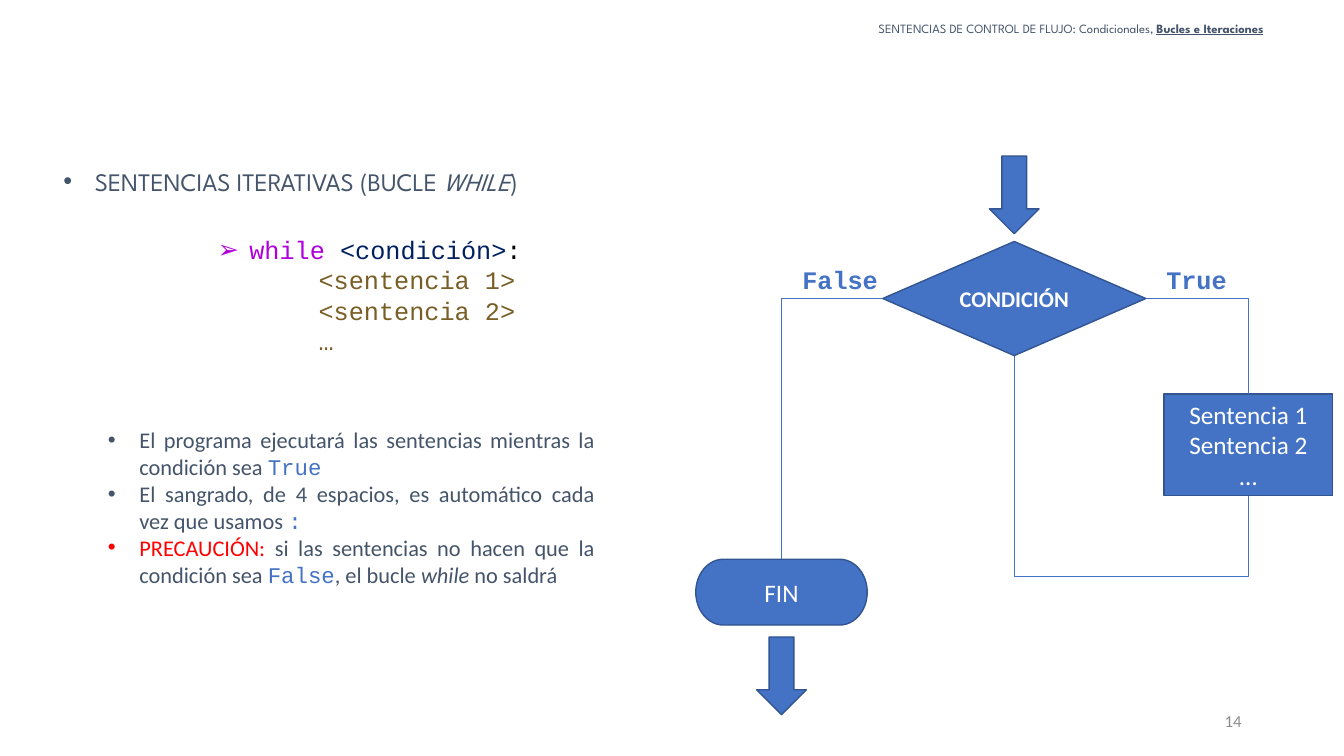
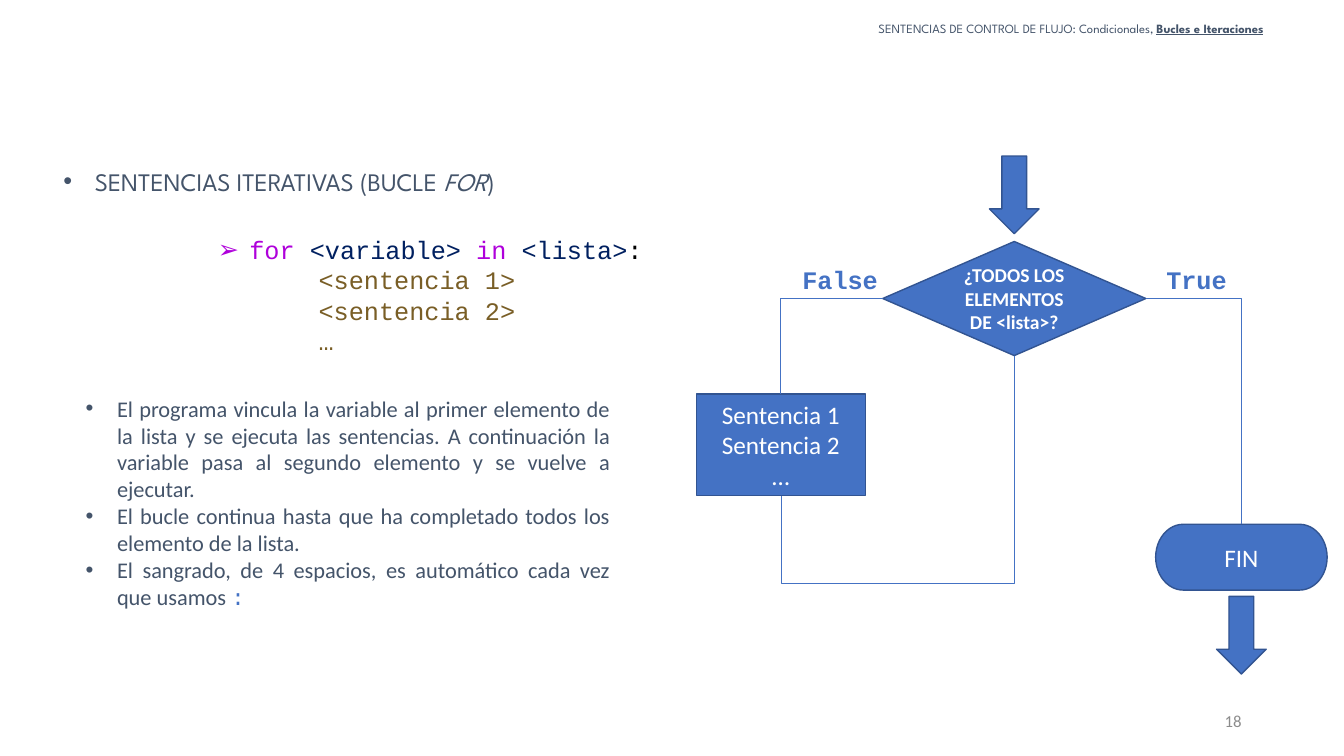
from dataclasses import dataclass

from lxml.etree import SubElement
from pptx import Presentation
from pptx.dml.color import RGBColor
from pptx.enum.shapes import MSO_CONNECTOR, MSO_SHAPE
from pptx.enum.text import MSO_ANCHOR, MSO_AUTO_SIZE, PP_ALIGN
from pptx.oxml.ns import qn
from pptx.util import Pt


@dataclass(frozen=True)
class Style:
    font: str
    size: int
    color: str
    bold: bool = False
    italic: bool = False
    underline: bool = False


@dataclass(frozen=True)
class Theme:
    ink: str = "44546A"
    accent: str = "4472C4"
    outline: str = "325491"
    keyword: str = "AF00DB"
    name: str = "002060"
    body: str = "795E26"
    warning: str = "FF0000"
    white: str = "FFFFFF"
    black: str = "000000"
    grey: str = "8C8C8C"
    sans: str = "Calibri"
    display: str = "League Spartan"
    mono: str = "Courier New"
    big: int = 18
    medium: int = 16
    compact: int = 14
    small: int = 12
    tiny: int = 9


T = Theme()
STYLES = {
    "header": Style(T.display, T.tiny, T.ink),
    "header_now": Style(T.display, T.tiny, T.ink, bold=True, underline=True),
    "title": Style(T.display, T.big, T.ink),
    "title_word": Style(T.display, T.big, T.ink, italic=True),
    "keyword": Style(T.mono, T.big, T.keyword),
    "name": Style(T.mono, T.big, T.name),
    "colon": Style(T.mono, T.big, T.black),
    "body": Style(T.mono, T.big, T.body),
    "note": Style(T.sans, T.medium, T.ink),
    "note_word": Style(T.sans, T.medium, T.ink, italic=True),
    "note_code": Style(T.mono, T.medium, T.accent),
    "warning": Style(T.sans, T.medium, T.warning),
    "branch": Style(T.mono, T.big, T.accent, bold=True),
    "step": Style(T.sans, T.big, T.white),
    "question": Style(T.sans, T.medium, T.white, bold=True),
    "long_question": Style(T.sans, T.compact, T.white, bold=True),
    "number": Style(T.sans, T.small, T.grey),
}

HEADER = [("SENTENCIAS DE CONTROL DE FLUJO: Condicionales, ", "header"),
          ("Bucles e Iteraciones", "header_now")]
CODE_BODY = ["<sentencia 1>", "<sentencia 2>", "…"]
STEPS = ["Sentencia 1", "Sentencia 2", "…"]
INDENTATION_NOTE = [("El sangrado, de 4 espacios, es automático cada vez que usamos ", "note"),
                    (":", "note_code")]

LOOPS = [
    {
        "word": "WHILE",
        "number": "14",
        "code": [("while ", "keyword"), ("<condición>", "name"), (":", "colon")],
        "notes_box": (70, 301, 362, 124),
        "notes": [
            [("El programa ejecutará las sentencias mientras la condición sea ", "note"),
             ("True", "note_code")],
            INDENTATION_NOTE,
            [("PRECAUCIÓN:", "warning"),
             (" si las sentencias no hacen que la condición sea ", "note"),
             ("False", "note_code"), (", el bucle ", "note"),
             ("while", "note_word"), (" no saldrá", "note")],
        ],
        "question": ("CONDICIÓN", "question"),
        "steps_side": "right", "steps_left": 831.5, "loop_drop": 57.5,
        "end_at": (497, 399.5), "exit_top": 455,
    },
    {
        "word": "FOR",
        "number": "18",
        "code": [("for ", "keyword"), ("<variable> ", "name"), ("in ", "keyword"),
                 ("<lista>", "name"), (":", "colon")],
        "notes_box": (54, 278.5, 389, 163),
        "notes": [
            [("El programa vincula la variable al primer elemento de la lista y se "
              "ejecuta las sentencias. A continuación la variable pasa al segundo "
              "elemento y se vuelve a ejecutar.", "note")],
            [("El bucle continua hasta que ha completado todos los elemento de la lista.",
              "note")],
            INDENTATION_NOTE,
        ],
        "question": ("¿TODOS LOS ELEMENTOS DE <lista>?", "long_question"),
        "steps_side": "left", "steps_left": 497.5, "loop_drop": 62.5,
        "end_at": (825.5, 374.5), "exit_top": 426,
    },
]

SLIDE_SIZE = (960, 540)
HEADER_BOX = (574, 12.5, 382, 20)
TITLE_BOX = (38, 115, 425, 29)
CODE_BOX = (4.5, 164, 480, 117)
NUMBER_BOX = (678, 500.5, 216, 29)
BRANCHES = [("False", (566, 185, 69, 29)), ("True", (826, 185, 58, 29))]
DECISION_BOX = (630.5, 172.5, 188, 81.5)
ENTRY_TOP = 111.5
ARROW_SIZE = (35.5, 55.5)
STEPS_TOP, STEPS_SIZE = 281.5, (120.5, 72.5)
END_SIZE = (122.5, 47)
HANG = 22.5
CODE_INDENT, CODE_BODY_INDENT = 166.5, 216
TOP_SITE, LEFT_SITE, BOTTOM_SITE, RIGHT_SITE = range(4)
SITES = {"left": LEFT_SITE, "right": RIGHT_SITE}


def points(box):
    return [Pt(value) for value in box]


def indent(paragraph, margin, bullet=None):
    properties = paragraph._p.get_or_add_pPr()
    properties.set("marL", str(Pt(margin)))
    properties.set("indent", str(Pt(-HANG if bullet else 0)))
    if bullet:
        SubElement(properties, qn("a:buFont")).set("typeface", "Arial")
        SubElement(properties, qn("a:buChar")).set("char", bullet)


def write(frame, paragraphs, align=PP_ALIGN.LEFT, anchor=MSO_ANCHOR.TOP, wrap=True):
    frame.word_wrap = wrap
    frame.auto_size = MSO_AUTO_SIZE.NONE
    frame.vertical_anchor = anchor
    for index, runs in enumerate(paragraphs):
        paragraph = frame.add_paragraph() if index else frame.paragraphs[0]
        paragraph.alignment = align
        for text, style_name in runs:
            style = STYLES[style_name]
            run = paragraph.add_run()
            run.text = text
            font = run.font
            font.name, font.size = style.font, Pt(style.size)
            font.bold, font.italic, font.underline = style.bold, style.italic, style.underline
            font.color.rgb = RGBColor.from_string(style.color)
    return frame.paragraphs


def add_text(slide, box, paragraphs, **options):
    return write(slide.shapes.add_textbox(*points(box)).text_frame, paragraphs, **options)


def add_block(slide, kind, box, paragraphs=()):
    block = slide.shapes.add_shape(kind, *points(box))
    block.shadow.inherit = False
    block.fill.solid()
    block.fill.fore_color.rgb = RGBColor.from_string(T.accent)
    block.line.color.rgb = RGBColor.from_string(T.outline)
    block.line.width = Pt(1)
    write(block.text_frame, paragraphs, PP_ALIGN.CENTER, MSO_ANCHOR.MIDDLE)
    return block


def add_arrow(slide, center, top):
    width, height = ARROW_SIZE
    add_block(slide, MSO_SHAPE.DOWN_ARROW, (center - width / 2, top, width, height))


def link(slide, source, source_site, target, target_site):
    connector = slide.shapes.add_connector(MSO_CONNECTOR.ELBOW, 0, 0, 0, 0)
    connector.begin_connect(source, source_site)
    connector.end_connect(target, target_site)
    connector.line.color.rgb = RGBColor.from_string(T.accent)
    connector.line.width = Pt(0.5)
    properties = connector.element.spPr
    SubElement(properties, qn("a:effectLst"))
    return connector, properties.find(qn("a:prstGeom"))


def add_branch(slide, decision, side, target):
    geometry = link(slide, decision, SITES[side], target, TOP_SITE)[1]
    geometry.set("prst", "bentConnector2")


def add_return(slide, steps, decision, side, drop):
    connector, geometry = link(slide, steps, BOTTOM_SITE, decision, BOTTOM_SITE)
    across, rise = connector.width, connector.height
    connector.left += (across - rise) // 2
    connector.top += (rise - across) // 2
    connector.width, connector.height = rise, across
    transform = connector.element.spPr.find(qn("a:xfrm"))
    transform.set("rot", "5400000")
    transform.set("flipH", "1")
    transform.set("flipV", "1" if side == "left" else "0")
    adjustments = geometry.find(qn("a:avLst"))
    if adjustments is None:
        adjustments = SubElement(geometry, qn("a:avLst"))
    guide = SubElement(adjustments, qn("a:gd"))
    guide.set("name", "adj1")
    guide.set("fmla", f"val {round(-100000 * Pt(drop) / rise)}")


def add_explanation(slide, loop):
    title = slide.shapes.title
    title.left, title.top, title.width, title.height = points(TITLE_BOX)
    heading = [("SENTENCIAS ITERATIVAS (BUCLE ", "title"), (loop["word"], "title_word"),
               (")", "title")]
    indent(write(title.text_frame, [heading])[0], HANG, "•")

    code = [loop["code"]] + [[(line, "body")] for line in CODE_BODY]
    first, *body = add_text(slide, CODE_BOX, code)
    indent(first, CODE_INDENT, "➢")
    for line in body:
        indent(line, CODE_BODY_INDENT)

    for note in add_text(slide, loop["notes_box"], loop["notes"], align=PP_ALIGN.JUSTIFY):
        indent(note, HANG, "•")


def add_flowchart(slide, loop):
    side = loop["steps_side"]
    other_side = "left" if side == "right" else "right"
    add_arrow(slide, DECISION_BOX[0] + DECISION_BOX[2] / 2, ENTRY_TOP)
    decision = add_block(slide, MSO_SHAPE.FLOWCHART_DECISION, DECISION_BOX,
                         [[loop["question"]]])
    steps = add_block(slide, MSO_SHAPE.FLOWCHART_PROCESS,
                      (loop["steps_left"], STEPS_TOP, *STEPS_SIZE),
                      [[(step, "step")] for step in STEPS])
    end = add_block(slide, MSO_SHAPE.FLOWCHART_TERMINATOR, (*loop["end_at"], *END_SIZE),
                    [[("FIN", "step")]])
    add_arrow(slide, loop["end_at"][0] + END_SIZE[0] / 2, loop["exit_top"])
    add_branch(slide, decision, side, steps)
    add_branch(slide, decision, other_side, end)
    add_return(slide, steps, decision, side, loop["loop_drop"])
    for label, box in BRANCHES:
        add_text(slide, box, [[(label, "branch")]], wrap=False)


def add_frame(slide, number):
    header = add_text(slide, HEADER_BOX, [HEADER], align=PP_ALIGN.CENTER)[0]
    header.line_spacing = 0.9
    add_text(slide, NUMBER_BOX, [[(number, "number")]],
             align=PP_ALIGN.RIGHT, anchor=MSO_ANCHOR.MIDDLE)


def main():
    deck = Presentation()
    deck.slide_width, deck.slide_height = points(SLIDE_SIZE)
    title_only = deck.slide_layouts[5]
    for loop in LOOPS:
        slide = deck.slides.add_slide(title_only)
        add_frame(slide, loop["number"])
        add_explanation(slide, loop)
        add_flowchart(slide, loop)
    deck.save("out.pptx")


if __name__ == "__main__":
    main()
